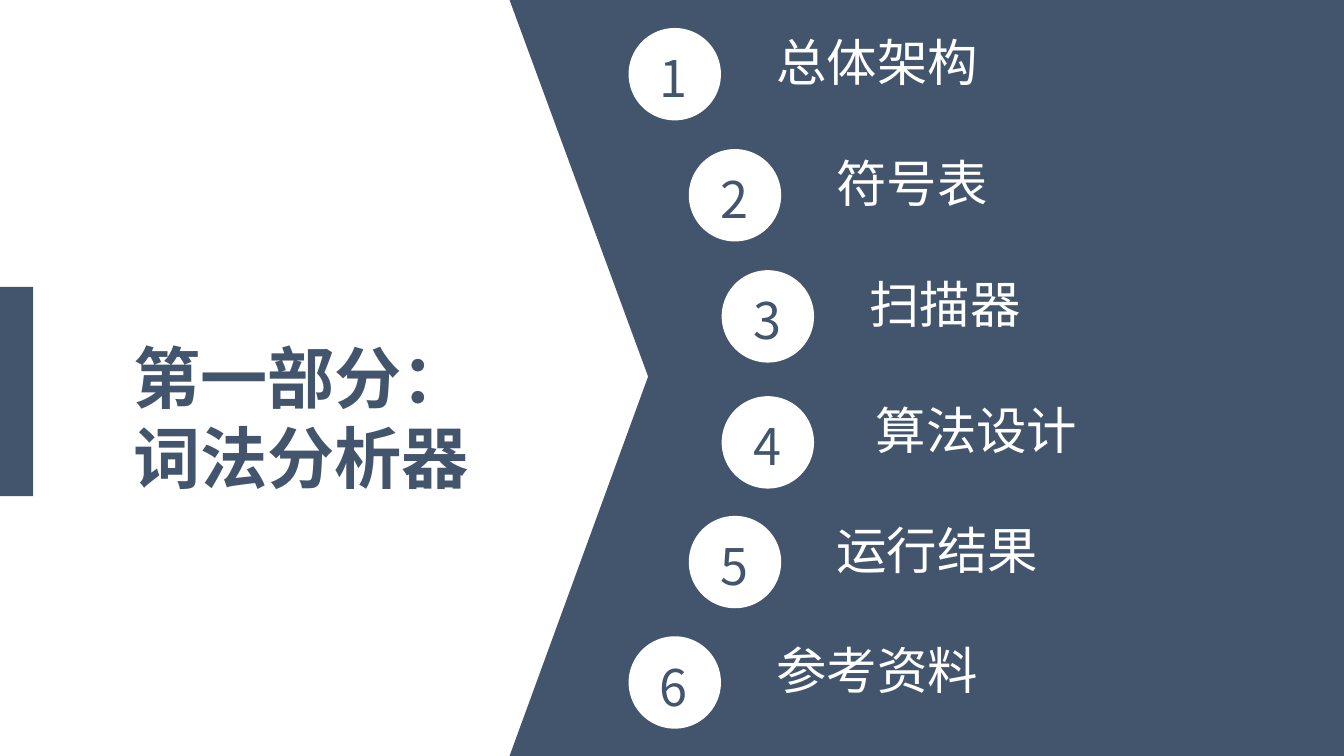
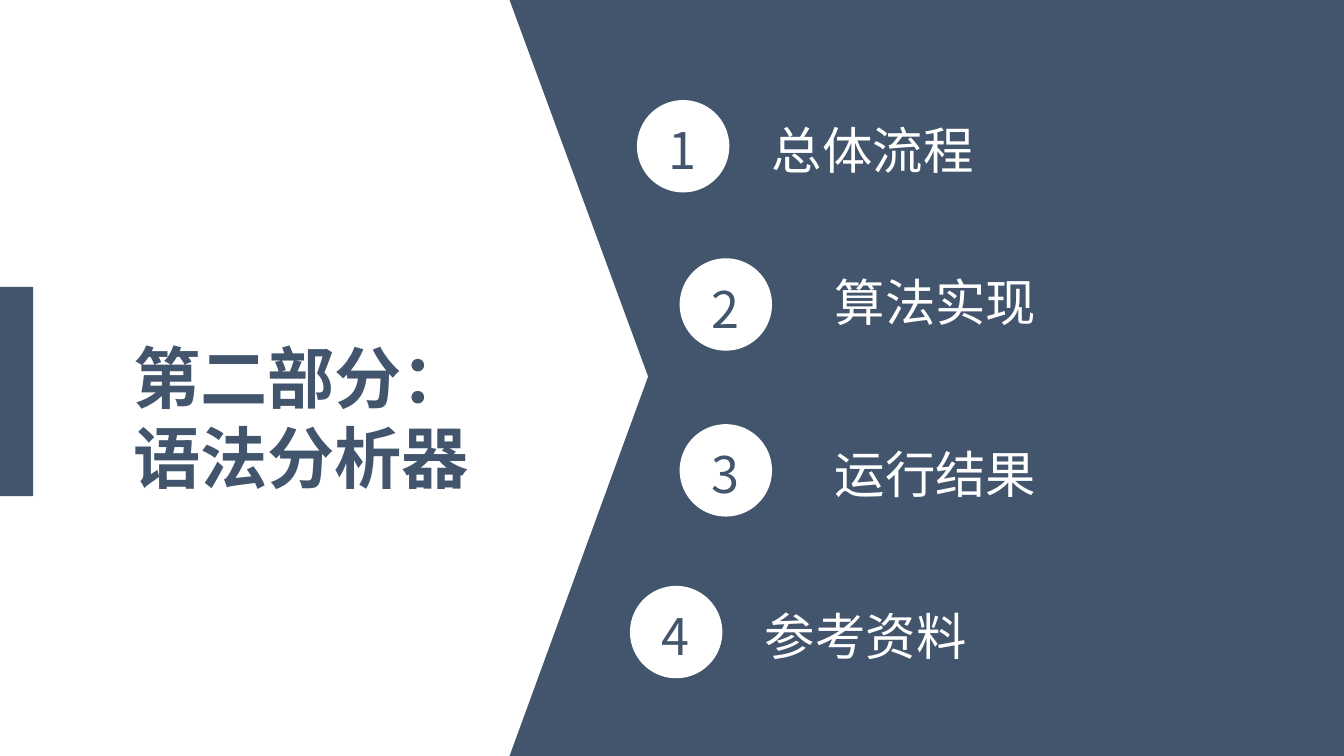
from pptx import Presentation
from pptx.dml.color import RGBColor
from pptx.enum.shapes import MSO_SHAPE
from pptx.enum.text import MSO_ANCHOR, PP_ALIGN
from pptx.oxml.ns import qn
from pptx.util import Pt

RECTANGLE, OVAL = MSO_SHAPE.RECTANGLE, MSO_SHAPE.OVAL
LEFT, JUSTIFY, TOP = PP_ALIGN.LEFT, PP_ALIGN.JUSTIFY, MSO_ANCHOR.TOP

THEME = {
    "navy": RGBColor.from_string("42556C"),
    "white": RGBColor.from_string("FFFFFF"),
    "font": "Noto Sans CJK SC",
    "title_size": 48,
    "item_size": 36,
    "line_height": 1.2,
}
WIDTH, HEIGHT = 960, 540
DISC = 66
PANEL = [(363.6, 0), (WIDTH, 0), (WIDTH, HEIGHT), (363.6, HEIGHT), (463, 269.3)]

SECTIONS = [
    {
        "title": ["第一部分：", "词法分析器"],
        "items": [
            ("总体架构", 449, 20, 98.4, -4.3),
            ("符号表", 492, 106.5, 98.4, -4.3),
            ("扫描器", 515.5, 193, 98.4, -4.3),
            ("算法设计", 515.5, 283, 103, -4.3),
            ("运行结果", 492, 368.5, 98.4, -4.3),
            ("参考资料", 449, 454.5, 98.4, -4.3),
        ],
    },
    {
        "title": ["第二部分：", "语法分析器"],
        "items": [
            ("总体流程", 455, 71.5, 89.3, 7.2),
            ("算法实现", 485.5, 184.5, 103.7, 2.2),
            ("运行结果", 485.5, 303, 103.7, 7.2),
            ("参考资料", 450, 418.5, 89.3, 7.2),
        ],
    },
]


def paint(shape, color):
    shape.shadow.inherit = False
    shape.fill.solid()
    shape.fill.fore_color.rgb = color
    shape.line.fill.background()


def add_text(shapes, lines, box, size, color, bold=False, alignment=LEFT):
    frame = shapes.add_textbox(*map(Pt, box)).text_frame
    frame_format = {
        "word_wrap": True,
        "vertical_anchor": TOP,
        "margin_top": Pt(3.6 + size / 12),
        "margin_bottom": 0,
    }
    for name, value in frame_format.items():
        setattr(frame, name, value)
    frame.text = "\n".join(lines)
    for paragraph in frame.paragraphs:
        paragraph.alignment = alignment
        paragraph.line_spacing = Pt(size * THEME["line_height"])
        for run in paragraph.runs:
            font_format = {"name": THEME["font"], "size": Pt(size), "bold": bold}
            for name, value in font_format.items():
                setattr(run.font, name, value)
            run.font.color.rgb = color
            east_asian = run.font._element.makeelement(qn("a:ea"), {"typeface": THEME["font"]})
            run.font._element.append(east_asian)


presentation = Presentation()
presentation.slide_width, presentation.slide_height = Pt(WIDTH), Pt(HEIGHT)

for section in SECTIONS:
    slide = presentation.slides.add_slide(presentation.slide_layouts[6])

    builder = slide.shapes.build_freeform(*PANEL[0], scale=float(Pt(1)))
    builder.add_line_segments(PANEL[1:], close=True)
    paint(builder.convert_to_shape(), THEME["navy"])
    accent_bar = slide.shapes.add_shape(RECTANGLE, 0, Pt(205), Pt(23.7), Pt(149.5))
    paint(accent_bar, THEME["navy"])

    add_text(slide.shapes, section["title"], (88, 232.5, 267, 124),
             THEME["title_size"], THEME["navy"], True, JUSTIFY)

    for number, (label, left, top, label_shift, label_drop) in enumerate(section["items"], 1):
        group = slide.shapes.add_group_shape()
        disc = group.shapes.add_shape(OVAL, Pt(left), Pt(top), Pt(DISC), Pt(DISC))
        paint(disc, THEME["white"])
        add_text(group.shapes, [label], (left + label_shift, top + label_drop, 160, 51),
                 THEME["item_size"], THEME["white"])
        add_text(group.shapes, [str(number)], (left + 15.3, top + 7.2, 37, 51),
                 THEME["item_size"], THEME["navy"])

presentation.save("out.pptx")
